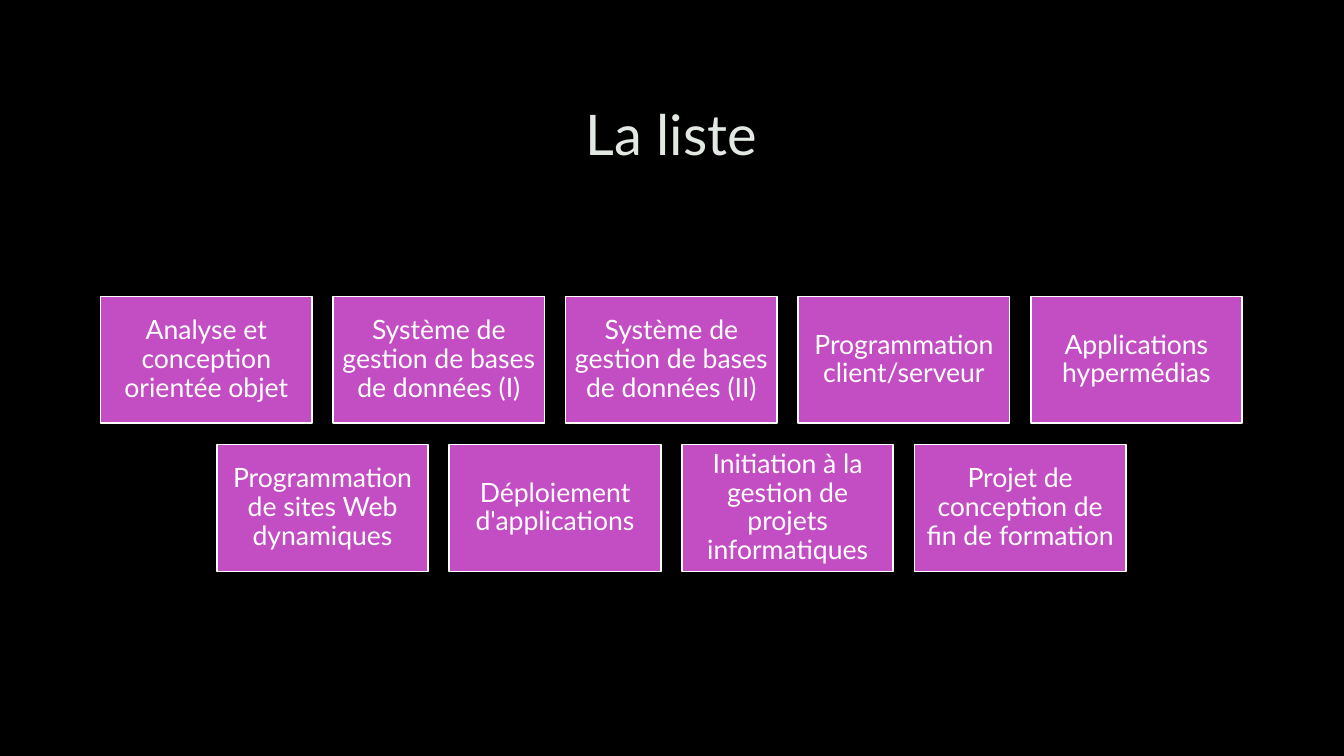
from lxml.etree import SubElement
from pptx import Presentation
from pptx.dml.color import RGBColor
from pptx.enum.shapes import MSO_SHAPE
from pptx.enum.text import MSO_ANCHOR, MSO_AUTO_SIZE, PP_ALIGN
from pptx.oxml.ns import qn
from pptx.util import Cm, Pt

BLACK = RGBColor(0x00, 0x00, 0x00)
WHITE = RGBColor(0xFF, 0xFF, 0xFF)
PALE_GREEN = RGBColor(0xE2, 0xE8, 0xE2)
ORCHID = RGBColor(0xC3, 0x4D, 0xC3)
GREY = RGBColor(0x40, 0x40, 0x40)

COURSE_ROWS = [
    ["Analyse et conception orientée objet",
     "Système de gestion de bases de données (I)",
     "Système de gestion de bases de données (II)",
     "Programmation client/serveur",
     "Applications hypermédias"],
    ["Programmation de sites Web dynamiques",
     "Déploiement d'applications",
     "Initiation à la gestion de projets informatiques",
     "Projet de conception de fin de formation"],
]
CENTER, FIRST_TOP = 16.92, 7.47
CARD_WIDTH, CARD_HEIGHT = 5.33, 3.2
COLUMN_STEP, ROW_STEP = 5.86, 3.73


class CourseSlide:
    font_name = "Lato"
    title_size = Pt(40)
    card_size = Pt(19)

    def __init__(self, presentation):
        self.slide = presentation.slides.add_slide(presentation.slide_layouts[5])
        background = self.slide.background.fill
        background.solid()
        background.fore_color.rgb = BLACK

    def add_text(self, shape, text, size, color):
        frame = shape.text_frame
        frame.word_wrap = True
        frame.auto_size = MSO_AUTO_SIZE.NONE
        frame.vertical_anchor = MSO_ANCHOR.MIDDLE
        paragraph = frame.paragraphs[0]
        paragraph.alignment = PP_ALIGN.CENTER
        paragraph.line_spacing = 0.9
        run = paragraph.add_run()
        run.text = text
        run.font.name = self.font_name
        run.font.size = size
        run.font.color.rgb = color
        return run

    def title(self, text, left, top, width, height):
        shape = self.slide.shapes.title
        shape.left, shape.top = Cm(left), Cm(top)
        shape.width, shape.height = Cm(width), Cm(height)
        run = self.add_text(shape, text, self.title_size, PALE_GREEN)
        self.outline(run)

    def outline(self, run):
        """Give the letters a thin, nearly transparent grey edge."""
        properties = run.font._element
        line = SubElement(properties, qn("a:ln"), w=str(Pt(0.75)))
        fill = SubElement(line, qn("a:solidFill"))
        color = SubElement(fill, qn("a:srgbClr"), val=str(GREY))
        SubElement(color, qn("a:alpha"), val="10000")
        properties.insert(0, line)

    def card(self, text, left, top):
        shape = self.slide.shapes.add_shape(
            MSO_SHAPE.RECTANGLE, Cm(left), Cm(top), Cm(CARD_WIDTH), Cm(CARD_HEIGHT))
        shape.shadow.inherit = False
        shape.fill.solid()
        shape.fill.fore_color.rgb = ORCHID
        shape.line.color.rgb = WHITE
        shape.line.width = Pt(1.25)
        frame = shape.text_frame
        frame.margin_left = frame.margin_right = Cm(0.2)
        frame.margin_top = frame.margin_bottom = Cm(0.2)
        self.add_text(shape, text, self.card_size, WHITE)

    def card_row(self, courses, top):
        """Place one row of cards, centred on the slide."""
        row_width = (len(courses) - 1) * COLUMN_STEP + CARD_WIDTH
        for column, course in enumerate(courses):
            self.card(course, CENTER - row_width / 2 + column * COLUMN_STEP, top)


def main():
    presentation = Presentation()
    presentation.slide_width = Cm(33.87)
    presentation.slide_height = Cm(19.05)
    course_slide = CourseSlide(presentation)
    course_slide.title("La liste", 2.54, 1.7, 28.75, 3.5)
    for row, courses in enumerate(COURSE_ROWS):
        course_slide.card_row(courses, FIRST_TOP + row * ROW_STEP)
    presentation.save("out.pptx")


if __name__ == "__main__":
    main()
